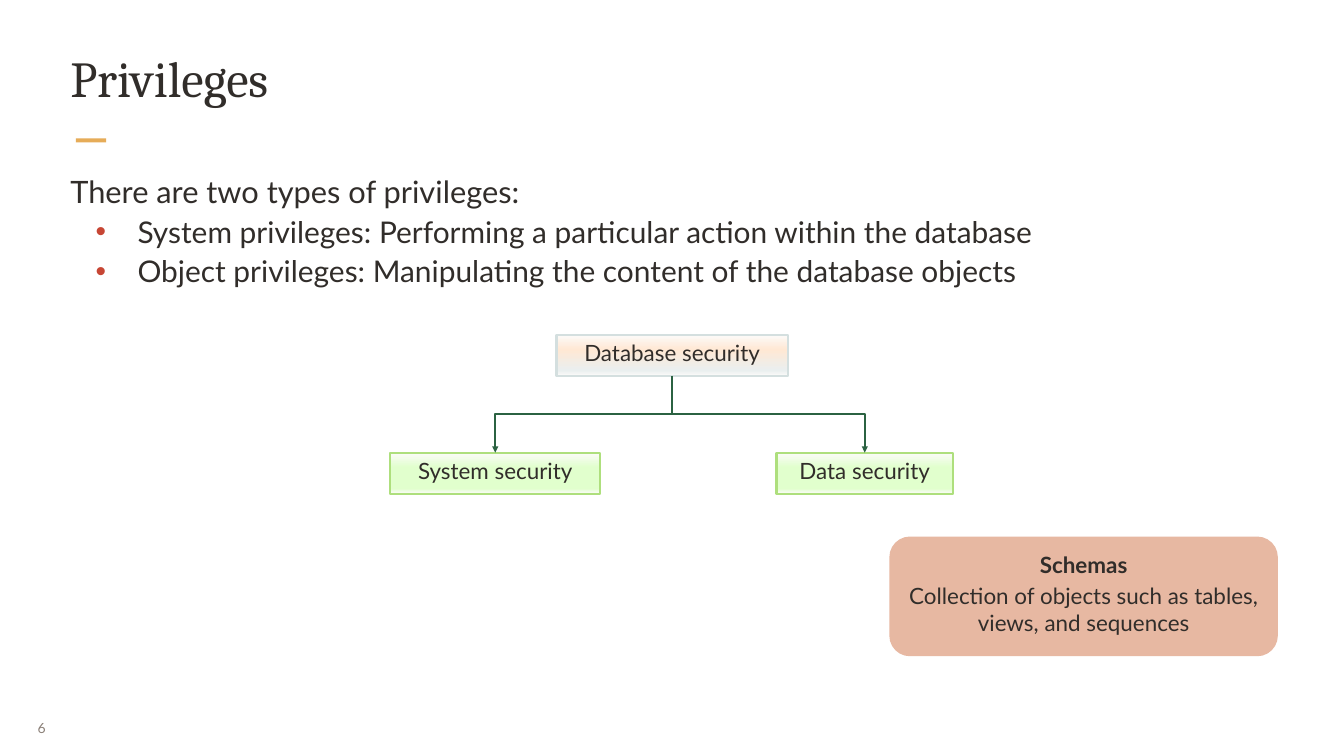
from lxml import etree
from pptx import Presentation
from pptx.dml.color import RGBColor
from pptx.enum import shapes, text
from pptx.oxml.ns import qn
from pptx.util import Pt

INK = "312D2A"
PEACH = [(0, "FCFBFA"), (36, "FFE8D4"), (87, "EAEFEF"), (100, "FCFBFA")]
GREEN = [(0, "FCFBFA"), (36, "E1FFCD"), (87, "E1FFCD"), (100, "FCFBFA")]
BOX_INSETS = (10.8, 5, 10.8, 5)


def color(hex_code):
    return RGBColor.from_string(hex_code)


def place(box):
    return [Pt(length) for length in box]


def set_frame(frame, insets, anchor=text.MSO_ANCHOR.TOP, wrap=True):
    frame.margin_left, frame.margin_top, frame.margin_right, frame.margin_bottom = place(insets)
    frame.vertical_anchor = anchor
    frame.word_wrap = wrap
    frame.auto_size = text.MSO_AUTO_SIZE.NONE


def style(paragraph, size, hex_code=INK, face="Lato", bold=False, align=text.PP_ALIGN.LEFT):
    paragraph.alignment = align
    font = paragraph.font
    font.size, font.name, font.bold = Pt(size), face, bold
    font.color.rgb = color(hex_code)


def add_bullet(paragraph, hex_code):
    props = paragraph._p.get_or_add_pPr()
    props.set("marL", str(Pt(72)))
    props.set("indent", str(Pt(-45)))
    tint = etree.SubElement(props, qn("a:buClr"))
    etree.SubElement(tint, qn("a:srgbClr"), val=hex_code)
    etree.SubElement(props, qn("a:buFont"), typeface="Arial")
    etree.SubElement(props, qn("a:buChar"), char="•")


def add_block(slide, kind, box, fill, outline=None):
    block = slide.shapes.add_shape(kind, *place(box))
    block.shadow.inherit = False
    if isinstance(fill, list):
        block.fill.gradient()
        block.fill.gradient_angle = 270
        stops = block._element.spPr.find(".//" + qn("a:gsLst"))
        stops.clear()
        for percent, hex_code in fill:
            stop = etree.SubElement(stops, qn("a:gs"), pos=str(percent * 1000))
            etree.SubElement(stop, qn("a:srgbClr"), val=hex_code)
    else:
        block.fill.solid()
        block.fill.fore_color.rgb = color(fill)
    if outline:
        block.line.color.rgb = color(outline)
        block.line.width = Pt(2.25)
    else:
        block.line.fill.background()
    return block


def add_heading(slide, box):
    title = slide.shapes.title
    title.left, title.top, title.width, title.height = place(box)
    set_frame(title.text_frame, (2, 2, 2, 2))
    title.text_frame.text = "Privileges"
    style(title.text_frame.paragraphs[0], 54, face="Cambria")
    # Accent bar under the title
    left, top = box[:2]
    add_block(slide, shapes.MSO_SHAPE.RECTANGLE, (left + 8, top + 100, 32.4, 4.3), "E6AC58")


def add_types(slide, box):
    frame = slide.shapes.add_textbox(*place(box)).text_frame
    set_frame(frame, (2, 2, 2, 2))
    frame.text = "\n".join([
        "There are two types of privileges:",
        "System privileges: Performing a particular action within the database",
        "Object privileges: Manipulating the content of the database objects",
    ])
    intro, *types = frame.paragraphs
    intro.line_spacing = 1.1
    style(intro, 33)
    for privilege in types:
        privilege.line_spacing = 1.1
        add_bullet(privilege, "C74634")
        style(privilege, 32)


def add_node(slide, box, label, fill, outline):
    node = add_block(slide, shapes.MSO_SHAPE.RECTANGLE, box, fill, outline)
    set_frame(node.text_frame, BOX_INSETS)
    node.text_frame.text = label
    style(node.text_frame.paragraphs[0], 24, align=text.PP_ALIGN.CENTER)
    return node


def add_branch(slide, parent, child):
    """Elbow arrow that leaves the parent downwards and enters the child from above."""
    x1, y1 = parent.left + parent.width // 2, parent.top + parent.height
    x2, y2 = child.left + child.width // 2, child.top
    drop, reach = y2 - y1, abs(x2 - x1)
    branch = slide.shapes.add_connector(shapes.MSO_CONNECTOR.ELBOW, x1, y1, x2, y2)
    branch.begin_connect(parent, 2)
    branch.end_connect(child, 0)
    # Turn the elbow so that its first and last legs are vertical
    branch.left, branch.top = (x1 + x2 - drop) // 2, (y1 + y2 - reach) // 2
    branch.width, branch.height = drop, reach
    to_right = x2 > x1
    turn = branch._element.spPr.find(qn("a:xfrm"))
    turn.set("rot", str((270 if to_right else 90) * 60000))
    turn.set("flipH", "1" if to_right else "0")
    turn.set("flipV", "0")
    branch.line.color.rgb = color("2B6242")
    branch.line.width = Pt(2.25)
    etree.SubElement(branch.line._get_or_add_ln(), qn("a:tailEnd"), type="triangle")
    etree.SubElement(branch._element.spPr, qn("a:effectLst"))


def add_security_tree(slide, box):
    left, top, width, height = box
    row = 44.3
    low = top + height - row
    root = add_node(slide, (left + 178, top, 247.6, row), "Database security", PEACH, "D4DFDF")
    system = add_node(slide, (left, low, 224.6, row), "System security", GREEN, "AEDF7D")
    data = add_node(slide, (left + width - 189, low, 189, row), "Data security", GREEN, "AEDF7D")
    for child in (system, data):
        add_branch(slide, root, child)


def add_schemas(slide, box):
    card = add_block(slide, shapes.MSO_SHAPE.ROUNDED_RECTANGLE, box, "E7B8A2", "E7B8A2")
    frame = card.text_frame
    set_frame(frame, (10.8, 8, 10.8, 5))
    frame.text = "Schemas\nCollection of objects such as tables, views, and sequences"
    name, meaning = frame.paragraphs
    style(name, 24, bold=True, align=text.PP_ALIGN.CENTER)
    style(meaning, 24, align=text.PP_ALIGN.CENTER)
    meaning.space_before = Pt(5)


def add_page_number(slide, box):
    frame = slide.shapes.add_textbox(*place(box)).text_frame
    set_frame(frame, (9.4, 5, 9.4, 5), text.MSO_ANCHOR.MIDDLE, wrap=False)
    frame.text = "6"
    style(frame.paragraphs[0], 15, "8B8078")


def main():
    deck = Presentation()
    deck.slide_width, deck.slide_height = Pt(1440), Pt(810)
    slide = deck.slides.add_slide(deck.slide_layouts[5])
    add_heading(slide, (73.4, 48.2, 1293, 92))
    add_types(slide, (73.4, 179.3, 1293, 130.3))
    add_security_tree(slide, (418.3, 358.5, 602.7, 170.7))
    add_schemas(slide, (954, 576, 414, 126))
    add_page_number(slide, (31, 759, 46.8, 41.8))
    deck.save("out.pptx")


if __name__ == "__main__":
    main()
